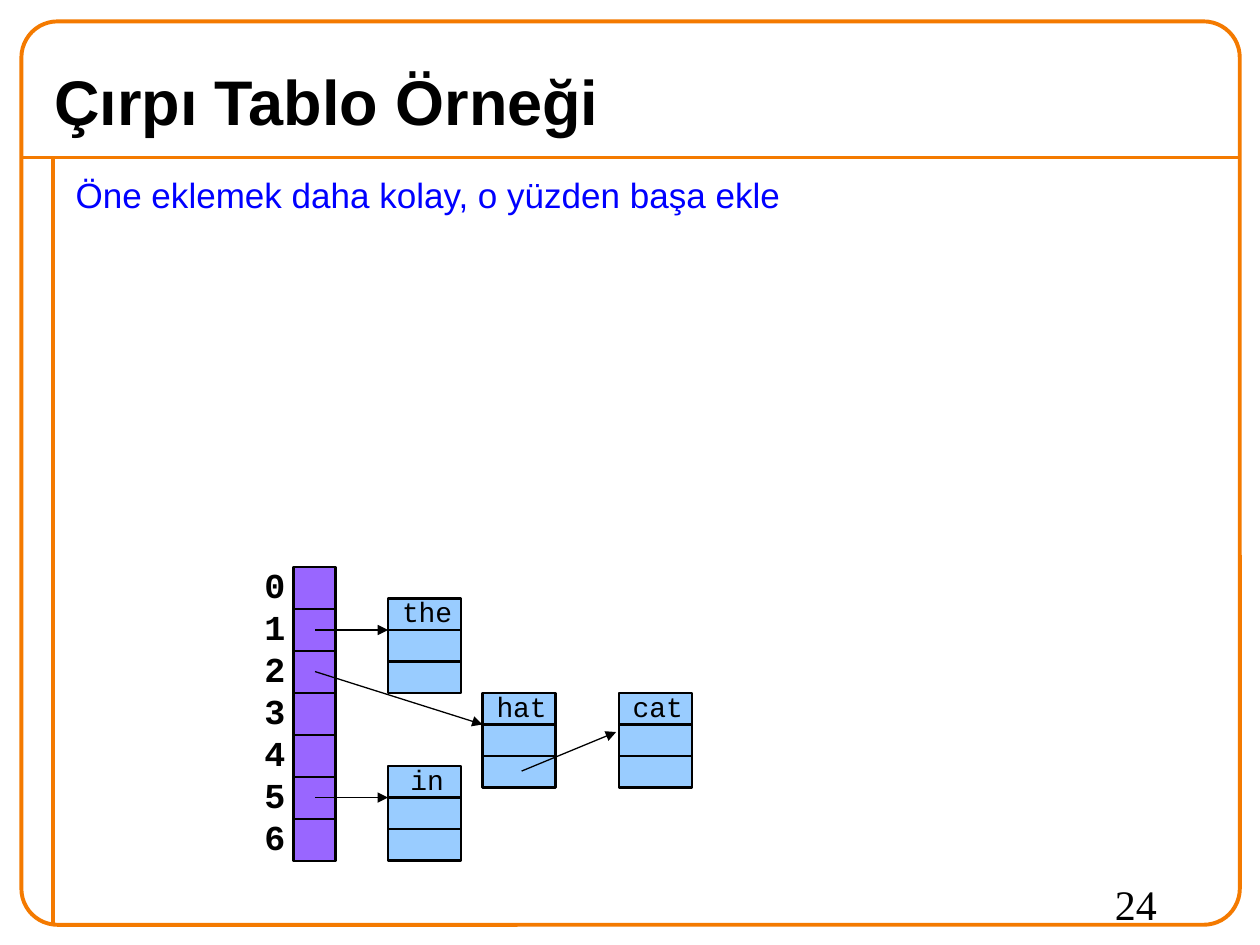
import pptx
import pptx.dml.color
import pptx.enum.shapes
import pptx.enum.text
import pptx.oxml
import pptx.oxml.ns
import pptx.util
from pptx.util import Inches

SHAPE = pptx.enum.shapes.MSO_SHAPE
ALIGN = pptx.enum.text.PP_ALIGN
ANCHOR = pptx.enum.text.MSO_ANCHOR
AUTO_SIZE = pptx.enum.text.MSO_AUTO_SIZE
ORANGE, BLACK, BLUE = "F47A00", "000000", "0000FF"
BUCKET_FILL, NODE_FILL = "9966FF", "99CCFF"


def paint(target, color):
    """Colour a fill or a font with a hex string."""
    if hasattr(target, "solid"):
        target.solid()
        target.fore_color.rgb = pptx.dml.color.RGBColor.from_string(color)
    else:
        target.color.rgb = pptx.dml.color.RGBColor.from_string(color)


def write(paragraph, text, size, font, color, bold=False):
    run = paragraph.add_run()
    run.text = text
    run.font.size = pptx.util.Pt(size)
    run.font.name = font
    run.font.bold = bold
    paint(run.font, color)


prs = pptx.Presentation()
prs.slide_width, prs.slide_height = Inches(10), Inches(7.5)
slide = prs.slides.add_slide(prs.slide_layouts[1])
shapes = slide.shapes

# Frame
frame = shapes.add_shape(SHAPE.ROUNDED_RECTANGLE, Inches(0.17), Inches(0.17),
                         Inches(9.67), Inches(7.17))
frame.adjustments[0] = 0.04
frame.shadow.inherit = False
frame.fill.background()
paint(frame.line.fill, ORANGE)
frame.line.width = pptx.util.Pt(2.25)

# Title
title = shapes.title
title.left, title.top = Inches(0.33), Inches(0.42)
title.width, title.height = Inches(9.33), Inches(0.75)
title.text_frame.vertical_anchor = ANCHOR.MIDDLE
title.text_frame.auto_size = AUTO_SIZE.NONE
heading = title.text_frame.paragraphs[0]
heading.alignment = ALIGN.LEFT
write(heading, "Çırpı Tablo Örneği", 36, "Arial", BLACK, bold=True)

# Body
body = slide.placeholders[1]
body.left, body.top = Inches(0.5), Inches(1.33)
body.width, body.height = Inches(9.25), Inches(6)
body.text_frame.auto_size = AUTO_SIZE.NONE
advice = body.text_frame.paragraphs[0]
advice.space_before = pptx.util.Pt(12.5)
advice_props = advice._p.get_or_add_pPr()
advice_props.set("marL", str(Inches(0.5)))
advice_props.set("indent", str(-Inches(0.5)))
advice_props.append(pptx.oxml.parse_xml(
    f"<a:buNone {pptx.oxml.ns.nsdecls('a')}/>"))
write(advice, "Öne eklemek daha kolay, o yüzden başa ekle", 20, "Arial", BLUE)

# Bucket array with its indices
bucket_count, bucket_size, bucket_top = 7, 1 / 3, 4.5
for index in range(bucket_count):
    bucket = shapes.add_shape(SHAPE.RECTANGLE, Inches(2.33),
                              Inches(bucket_top + index * bucket_size),
                              Inches(bucket_size), Inches(bucket_size))
    bucket.shadow.inherit = False
    paint(bucket.fill, BUCKET_FILL)
    paint(bucket.line.fill, BLACK)
    bucket.line.width = pptx.util.Pt(1.25)

indices = shapes.add_textbox(Inches(2), Inches(4.42), Inches(0.36), Inches(2.44))
indices.text_frame.word_wrap = False
indices.text_frame.auto_size = AUTO_SIZE.SHAPE_TO_FIT_TEXT
for index in range(bucket_count):
    if index:
        row = indices.text_frame.add_paragraph()
    else:
        row = indices.text_frame.paragraphs[0]
    row.alignment = ALIGN.CENTER
    write(row, str(index), 20, "Courier New", BLACK, bold=True)

# List nodes: three stacked cells, the word over the first
cell_width, cell_height = 0.58, 0.25
for word, left, top in [("the", 3.08, 4.75), ("hat", 3.83, 5.5),
                        ("in", 3.08, 6.08), ("cat", 4.91, 5.5)]:
    node = shapes.add_group_shape()
    for level in range(3):
        cell = node.shapes.add_shape(SHAPE.RECTANGLE, Inches(left),
                                     Inches(top + level * cell_height),
                                     Inches(cell_width), Inches(cell_height))
        cell.shadow.inherit = False
        paint(cell.fill, NODE_FILL)
        paint(cell.line.fill, BLACK)
        cell.line.width = pptx.util.Pt(1.25)
    label_width = 0.2 + 0.14 * len(word)
    label = shapes.add_textbox(Inches(left + 0.31 - label_width / 2),
                               Inches(top - 0.08),
                               Inches(label_width), Inches(0.37))
    label.text_frame.word_wrap = False
    label.text_frame.auto_size = AUTO_SIZE.SHAPE_TO_FIT_TEXT
    label.text_frame.paragraphs[0].alignment = ALIGN.CENTER
    write(label.text_frame.paragraphs[0], word, 16, "Courier New", BLACK)

# Frame rules and pointer arrows
for x1, y1, x2, y2, color, width, is_pointer in [
        (0.17, 1.25, 9.83, 1.25, ORANGE, 2.25, False),
        (0.42, 1.25, 0.42, 7.33, ORANGE, 2.25, False),
        (2.5, 5, 3.08, 5, BLACK, 0.75, True),
        (2.5, 5.33, 3.83, 5.75, BLACK, 0.75, True),
        (2.5, 6.33, 3.08, 6.33, BLACK, 0.75, True),
        (4.14, 6.12, 4.89, 5.81, BLACK, 0.75, True)]:
    line = shapes.add_connector(pptx.enum.shapes.MSO_CONNECTOR.STRAIGHT,
                                Inches(x1), Inches(y1), Inches(x2), Inches(y2))
    paint(line.line.fill, color)
    line.line.width = pptx.util.Pt(width)
    if is_pointer:
        line.line._get_or_add_ln().append(pptx.oxml.parse_xml(
            f"<a:tailEnd {pptx.oxml.ns.nsdecls('a')} type='triangle'/>"))
    line._element.spPr.append(pptx.oxml.parse_xml(
        f"<a:effectLst {pptx.oxml.ns.nsdecls('a')}/>"))

# Page number
page = shapes.add_textbox(Inches(8.75), Inches(6.92), Inches(1), Inches(0.5))
page.text_frame.word_wrap = True
write(page.text_frame.paragraphs[0], "24", 24, "Times New Roman", BLACK)

prs.save("out.pptx")
